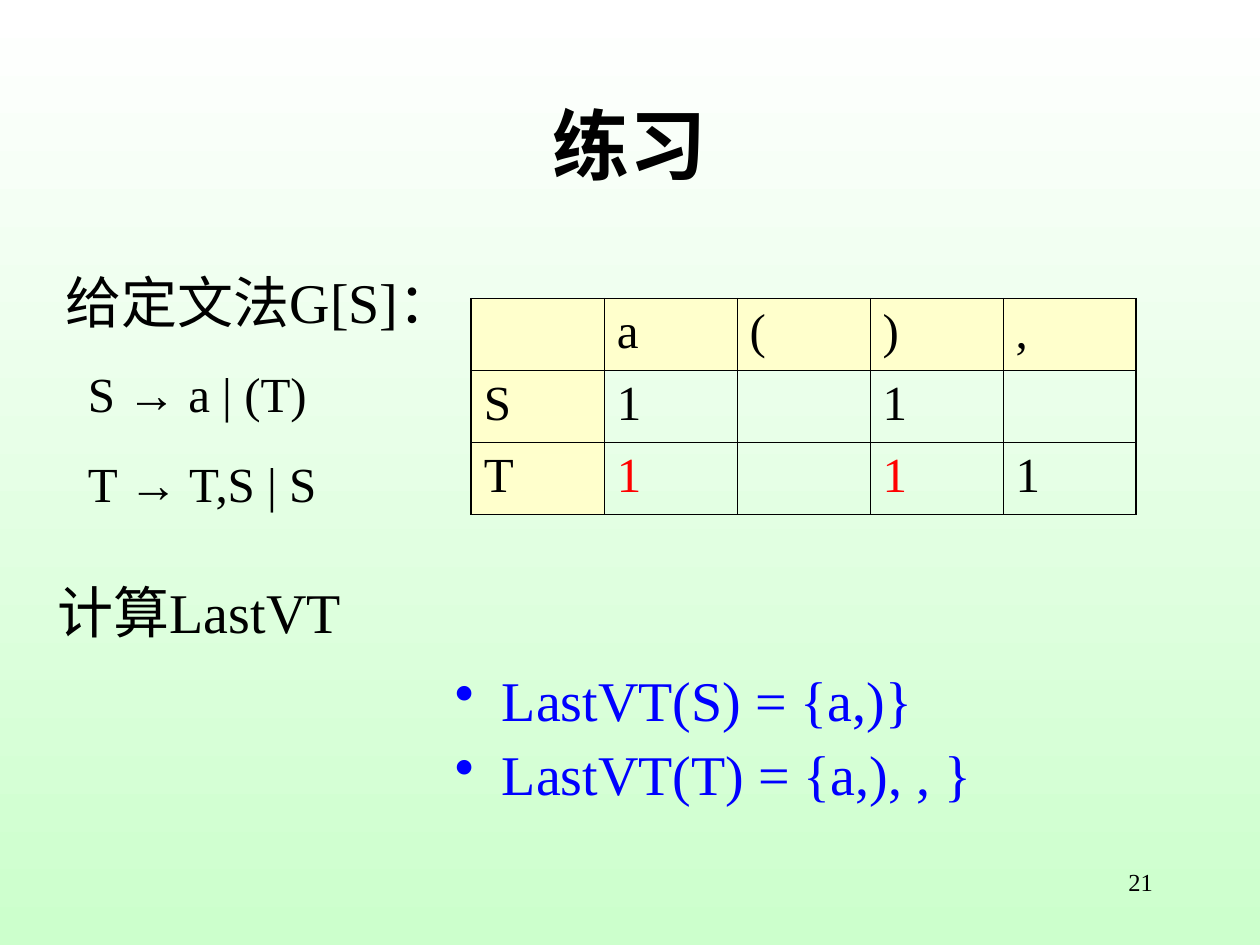
from dataclasses import dataclass

from lxml.etree import SubElement
from pptx import Presentation
from pptx.dml.color import RGBColor
from pptx.enum.text import MSO_ANCHOR, PP_ALIGN
from pptx.oxml.ns import qn
from pptx.util import Cm, Pt


@dataclass(frozen=True)
class Theme:
    black: RGBColor = RGBColor(0, 0, 0)
    white: RGBColor = RGBColor(255, 255, 255)
    green: RGBColor = RGBColor(0xCC, 0xFF, 0xCC)
    header: RGBColor = RGBColor(0xFF, 0xFF, 0xCC)
    result: RGBColor = RGBColor(0, 0, 255)
    derived: RGBColor = RGBColor(255, 0, 0)
    title_size: Pt = Pt(44)
    body_size: Pt = Pt(32)
    grammar_size: Pt = Pt(28)
    number_size: Pt = Pt(14)
    latin: str = "Times New Roman"
    arrow: str = "Arial"
    cjk: str = "Noto Sans CJK SC"


T = Theme()


def add_run(p, text, **font):
    """Add a run in the Latin font, with the CJK font for Chinese characters."""
    r = p.add_run()
    r.text = text
    color = font.pop("color", T.black)
    for name, value in {"name": T.latin, **font}.items():
        setattr(r.font, name, value)
    r.font.color.rgb = color
    r.font._element.find(qn("a:latin")).addnext(
        r.font._element.makeelement(qn("a:ea"), {"typeface": T.cjk}))


def add_text_frame(slide, left, top, width, height):
    tf = slide.shapes.add_textbox(Cm(left), Cm(top), Cm(width), Cm(height)).text_frame
    tf.word_wrap = True
    return tf


prs = Presentation()
prs.slide_width, prs.slide_height = Cm(25.4), Cm(19.05)
s = prs.slides.add_slide(prs.slide_layouts[6])

# Background: white at the top to light green at the bottom
fill = s.background.fill
fill.gradient()
fill.gradient_angle = 270
for stop, color in zip(fill.gradient_stops, (T.white, T.green)):
    stop.color.rgb = color

# Single-line texts
LINES = [
    ("练习", (1.9, 1.8, 21.59, 2.18), PP_ALIGN.CENTER,
     {"size": T.title_size, "name": T.cjk, "bold": True}),
    ("计算LastVT", (0.91, 11.51, 7.75, 3.25), PP_ALIGN.LEFT, {"size": T.body_size}),
    ("给定文法G[S]：", (1.07, 5.26, 10.11, 1.63), PP_ALIGN.LEFT, {"size": T.body_size}),
    ("21", (18.21, 17.35, 5.28, 1.27), PP_ALIGN.RIGHT, {"size": T.number_size}),
]
for text, box, align, font in LINES:
    tf = add_text_frame(s, *box)
    if font["size"] == T.title_size:
        tf.vertical_anchor = MSO_ANCHOR.MIDDLE
    p = tf.paragraphs[0]
    p.alignment = align
    add_run(p, text, **font)

# Grammar rules
tf = add_text_frame(s, 1.52, 7.21, 6.32, 3.25)
for i, (symbol, production) in enumerate([("S", "a | (T)"), ("T", "T,S | S")]):
    p = tf.add_paragraph() if i else tf.paragraphs[0]
    if i:
        p.space_before = Pt(17.5)
    add_run(p, f"{symbol} ", size=T.grammar_size)
    add_run(p, "→", size=T.grammar_size, name=T.arrow)
    add_run(p, f" {production}", size=T.grammar_size)

# LastVT results
tf = add_text_frame(s, 8.92, 13.44, 11.79, 3.23)
for i, text in enumerate(["LastVT(S) = {a,)}", "LastVT(T) = {a,), , }"]):
    p = tf.add_paragraph() if i else tf.paragraphs[0]
    p.line_spacing = 0.9
    if i:
        p.space_before = Pt(8)
    pPr = p._p.get_or_add_pPr()
    pPr.set("marL", str(Cm(0.95)))
    pPr.set("indent", str(-Cm(0.95)))
    bullet_color = SubElement(pPr, qn("a:buClr"))
    SubElement(bullet_color, qn("a:srgbClr"), val=str(T.result))
    SubElement(pPr, qn("a:buChar"), char="•")
    add_run(p, text, size=T.body_size, color=T.result)

# LastVT matrix
MATRIX = [
    ["", "a", "(", ")", ","],
    ["S", "1", "", "1", ""],
    ["T", "1", "", "1", "1"],
]
DERIVED = {(2, 1), (2, 3)}
n_rows, n_cols = len(MATRIX), len(MATRIX[0])
table = s.shapes.add_table(n_rows, n_cols, Cm(9.5), Cm(6.02),
                           Cm(2.68 * n_cols), Cm(1.45 * n_rows)).table
table.first_row = table.horz_banding = False
for col in table.columns:
    col.width = Cm(2.68)
for row in table.rows:
    row.height = Cm(1.45)
for i, values in enumerate(MATRIX):
    for j, value in enumerate(values):
        cell = table.cell(i, j)
        outer = {"L": j == 0, "R": j == n_cols - 1, "T": i == 0, "B": i == n_rows - 1}
        for side, is_outer in outer.items():
            ln = SubElement(cell._tc.get_or_add_tcPr(), qn(f"a:ln{side}"),
                            w=str(Pt(1.08 if is_outer else 0.45)))
            SubElement(SubElement(ln, qn("a:solidFill")), qn("a:srgbClr"), val=str(T.black))
        if i == 0 or j == 0:
            cell.fill.solid()
            cell.fill.fore_color.rgb = T.header
        else:
            cell.fill.background()
        if value:
            add_run(cell.text_frame.paragraphs[0], value, size=T.grammar_size,
                    color=T.derived if (i, j) in DERIVED else T.black)

prs.save("out.pptx")
